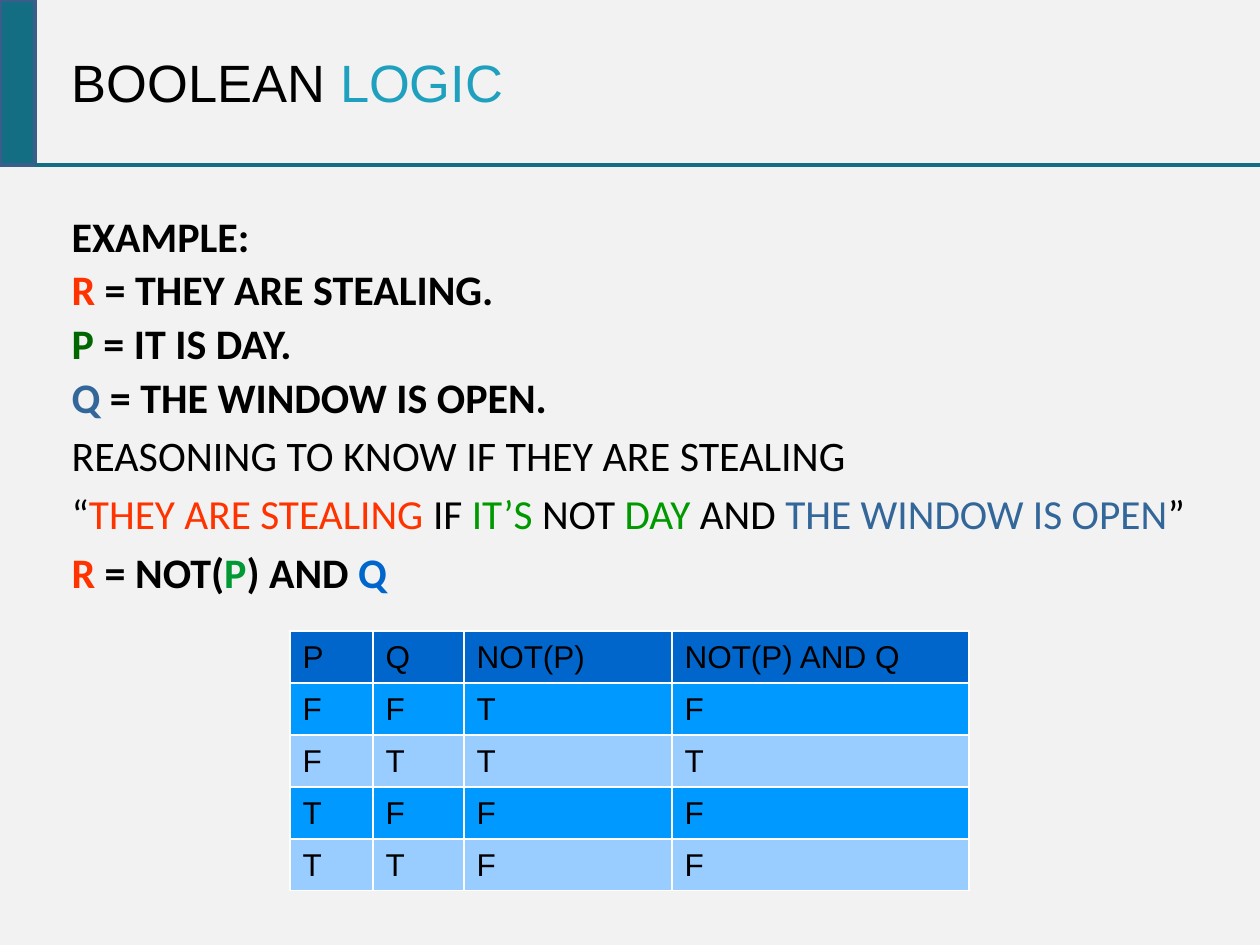
from lxml import etree
from pptx import Presentation
from pptx import util as u
from pptx.dml.color import RGBColor
from pptx.enum import shapes, text
from pptx.oxml.ns import qn

# Content: each line is (space before, size, bold, runs of (text, colour))
TITLE = [("BOOLEAN ", "ink"), ("LOGIC", "accent")]
LINES = [
    (0, "body", True, [("EXAMPLE:", "ink")]),
    (1.8, "body", True, [("R", "red"), (" = THEY ARE STEALING.", "ink")]),
    (1.8, "body", True, [("P", "dark_green"), (" = IT IS DAY.", "ink")]),
    (1.8, "body", True, [("Q", "slate"), (" = THE WINDOW IS OPEN.", "ink")]),
    (4.8, "body", False, [("REASONING TO KNOW IF THEY ARE STEALING", "ink")]),
    (4.7, "quote", False, [
        ("“", "ink"), ("THEY ARE STEALING", "red"), (" IF ", "ink"),
        ("IT’S ", "green"), ("NOT", "ink"), (" DAY", "green"),
        (" AND ", "ink"), ("THE WINDOW IS OPEN", "slate"), ("”", "ink")]),
    (4.8, "body", True, [
        ("R", "red"), (" = NOT(", "ink"), ("P", "mid_green"),
        (") AND ", "ink"), ("Q", "blue")]),
]
TRUTH_TABLE = [
    ("P", "Q", "NOT(P)", "NOT(P) AND Q"),
    ("F", "F", "T", "F"),
    ("F", "T", "T", "T"),
    ("T", "F", "F", "F"),
    ("T", "T", "F", "F"),
]
COLUMN_WIDTHS = [83, 91, 208, 297]
ROW_HEIGHT = 52

THEME = {
    "colours": {
        "paper": "F2F2F2", "ink": "000000", "accent": "1FA0BE",
        "teal": "146E83", "edge": "395E89", "red": "FF3300",
        "dark_green": "006600", "green": "009900", "mid_green": "009933",
        "slate": "336699", "blue": "0066CC", "row_odd": "0099FF",
        "row_even": "99CCFF", "grid": "FFFFFF"},
    "sizes": {"title": 30, "body": 24, "quote": 23.6, "table": 18},
    "fonts": {"title": "Arial", "body": "Calibri", "quote": "Calibri",
              "table": "Arial"},
}


def px(length):
    return u.Emu(round(length * 914400 / 126))


def colour(name):
    return RGBColor.from_string(THEME["colours"][name])


def place(shape, left, top, width, height):
    shape.left, shape.top = px(left), px(top)
    shape.width, shape.height = px(width), px(height)


def add_spans(para, runs, style, bold=False):
    for words, ink in runs:
        span = para.add_run()
        span.text = words
        span.font.name = THEME["fonts"][style]
        span.font.size = u.Pt(THEME["sizes"][style])
        span.font.bold = bold
        span.font.color.rgb = colour(ink)


def add_cell_borders(cell):
    properties = cell._tc.get_or_add_tcPr()
    for index, side in enumerate(("lnL", "lnR", "lnT", "lnB")):
        line = etree.Element(qn("a:" + side), w=str(u.Pt(0.75)))
        fill = etree.SubElement(line, qn("a:solidFill"))
        etree.SubElement(fill, qn("a:srgbClr"), val=THEME["colours"]["grid"])
        properties.insert(index, line)


# Page
deck = Presentation()
deck.slide_width, deck.slide_height = px(1260), px(945)
page = deck.slides.add_slide(deck.slide_layouts[1])
page.background.fill.solid()
page.background.fill.fore_color.rgb = colour("paper")

# Title
title = page.shapes.title
place(title, 59, 0, 1027, 164)
title.text_frame.vertical_anchor = text.MSO_ANCHOR.MIDDLE
title.text_frame.auto_size = text.MSO_AUTO_SIZE.NONE
heading = title.text_frame.paragraphs[0]
heading.alignment = text.PP_ALIGN.LEFT
add_spans(heading, TITLE, "title")

# Header block and rule
block = page.shapes.add_shape(shapes.MSO_SHAPE.RECTANGLE,
                              0, 0, px(35), px(165))
block.shadow.inherit = False
block.fill.solid()
block.fill.fore_color.rgb = colour("teal")
block.line.color.rgb = colour("edge")
block.line.width = u.Pt(2)
rule = page.shapes.add_connector(shapes.MSO_CONNECTOR.STRAIGHT,
                                 px(35), px(165), px(1260), px(165))
rule.line.color.rgb = colour("teal")
rule.line.width = u.Pt(1.75)
etree.SubElement(rule._element.spPr, qn("a:effectLst"))

# Body
body = page.placeholders[1]
place(body, 59, 204, 1142, 719)
frame = body.text_frame
frame.auto_size = text.MSO_AUTO_SIZE.NONE
for index, (gap, style, bold, runs) in enumerate(LINES):
    para = frame.add_paragraph() if index else frame.paragraphs[0]
    para.space_before = u.Pt(gap)
    properties = para._p.get_or_add_pPr()
    properties.set("marL", str(px(48)))
    properties.set("indent", str(-px(48)))
    etree.SubElement(properties, qn("a:buNone"))
    add_spans(para, runs, style, bold)

# Truth table
table = page.shapes.add_table(
    len(TRUTH_TABLE), len(COLUMN_WIDTHS), px(290), px(631),
    px(sum(COLUMN_WIDTHS)), px(ROW_HEIGHT * len(TRUTH_TABLE))).table
for column, width in zip(table.columns, COLUMN_WIDTHS):
    column.width = px(width)
for r, values in enumerate(TRUTH_TABLE):
    table.rows[r].height = px(ROW_HEIGHT)
    shade = "blue" if r == 0 else "row_odd" if r % 2 else "row_even"
    for c, value in enumerate(values):
        cell = table.cell(r, c)
        cell.margin_top = u.Inches(0.1)
        cell.fill.solid()
        cell.fill.fore_color.rgb = colour(shade)
        add_cell_borders(cell)
        para = cell.text_frame.paragraphs[0]
        para.line_spacing = 0.87
        add_spans(para, [(value, "ink")], "table")

deck.save("out.pptx")
